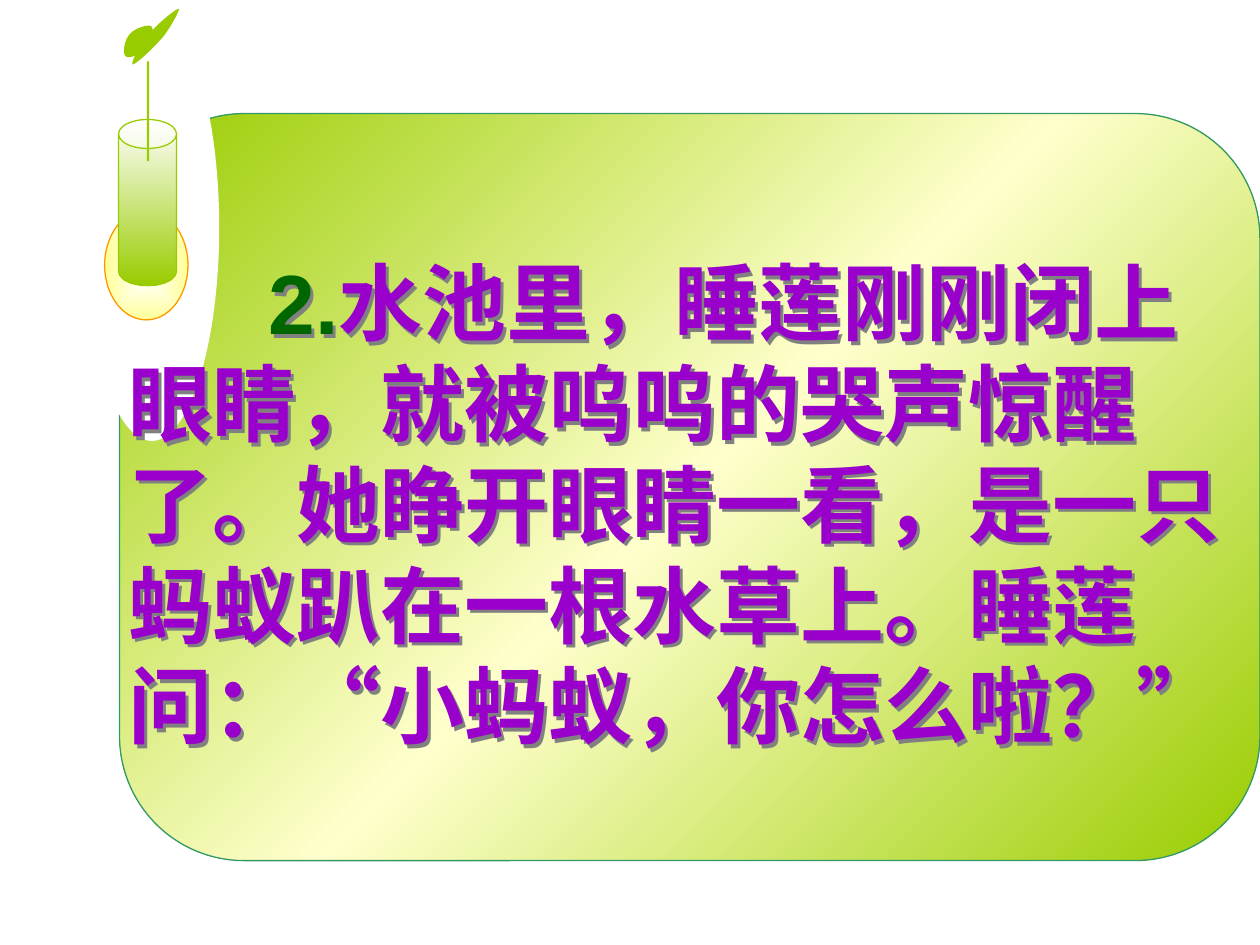
from dataclasses import dataclass

from pptx import Presentation
from pptx.dml.color import RGBColor
from pptx.enum.lang import MSO_LANGUAGE_ID
from pptx.enum.shapes import MSO_SHAPE
from pptx.enum.text import MSO_ANCHOR
from pptx.oxml import parse_xml
from pptx.oxml.ns import nsdecls, qn
from pptx.util import Cm, Pt


@dataclass(frozen=True)
class Theme:
    leaf: str = "99CC00"
    cream: str = "FFFFCC"
    yolk: str = "FFFF99"
    white: str = "FFFFFF"
    panel_edge: str = "339966"
    bulb_edge: str = "FF9900"
    number: str = "006600"
    story: str = "9900CC"
    shadow: str = "808080"
    font: str = "Arial"
    story_size: int = 48
    edge_width: float = 0.75


THEME = Theme()
LINEAR = '<a:lin ang="{}" scaled="0"/>'
CENTRED = ('<a:path path="rect"><a:fillToRect l="50000" t="50000" '
           'r="50000" b="50000"/></a:path>')

# Leaf outlines in cm: a start point, then cubic curves (two controls, one end)
SMALL_LEAF = ((3.0, 0.99), [
    ((3.07, 0.89), (3.12, 0.58), (3.05, 0.53)),
    ((3.0, 0.48), (2.69, 0.58), (2.62, 0.69)),
    ((2.51, 0.79), (2.46, 1.09), (2.54, 1.14)),
    ((2.59, 1.19), (2.9, 1.09), (3.0, 0.99))])
LONG_LEAF = ((2.67, 1.3), [
    ((2.72, 1.32), (3.07, 0.99), (3.23, 0.81)),
    ((3.4, 0.64), (3.63, 0.2), (3.61, 0.18)),
    ((3.58, 0.15), (3.2, 0.46), (3.05, 0.64)),
    ((2.87, 0.81), (2.64, 1.24), (2.67, 1.3))])


def paint(shape, colors, direction=None, edge=None):
    """Fill with one colour, or with evenly spaced gradient colours."""
    shape.shadow.inherit = False
    if direction is None:
        shape.fill.solid()
        shape.fill.fore_color.rgb = RGBColor.from_string(colors[0])
    else:
        step = 100000 // (len(colors) - 1)
        stops = "".join(
            f'<a:gs pos="{i * step}"><a:srgbClr val="{color}"/></a:gs>'
            for i, color in enumerate(colors))
        shape.fill.background()
        properties = shape._element.spPr
        properties.replace(properties.find(qn("a:noFill")), parse_xml(
            f'<a:gradFill {nsdecls("a")} rotWithShape="1">'
            f'<a:gsLst>{stops}</a:gsLst>{direction}</a:gradFill>'))
    if edge:
        shape.line.color.rgb = RGBColor.from_string(edge)
        shape.line.width = Pt(THEME.edge_width)
    else:
        shape.line.fill.background()


def add_preset(group, preset, box, colors, direction=None, edge=None, adjust=None):
    shape = group.shapes.add_shape(preset, *map(Cm, box))
    if adjust is not None:
        shape.adjustments[0] = adjust
    paint(shape, colors, direction, edge)


def curve_points(start, curves, steps=10):
    for first, second, end in curves:
        for i in range(1, steps + 1):
            t = i / steps
            u = 1 - t
            yield tuple(
                Cm(u**3 * a + 3 * u**2 * t * b + 3 * u * t**2 * c + t**3 * d)
                for a, b, c, d in zip(start, first, second, end))
        start = end


def add_leaf(group, start, curves):
    builder = group.shapes.build_freeform(*map(Cm, start))
    builder.add_line_segments(curve_points(start, curves), close=True)
    paint(builder.convert_to_shape(), [THEME.leaf])


def add_story_run(paragraph, text, color):
    run = paragraph.add_run()
    run.text = text
    run.font.color.rgb = RGBColor.from_string(color)
    formats = {"name": THEME.font, "size": Pt(THEME.story_size), "bold": True,
               "language_id": MSO_LANGUAGE_ID.SIMPLIFIED_CHINESE}
    for name, value in formats.items():
        setattr(run.font, name, value)


def add_story(slide, box, number, text):
    story = slide.shapes.add_textbox(*map(Cm, box))
    # An unfilled box casts its shadow from the letters
    story.fill.background()
    story.line.fill.background()
    story._element.spPr.append(parse_xml(
        f'<a:effectLst {nsdecls("a")}><a:outerShdw dist="35921" dir="2700000" '
        f'algn="ctr" rotWithShape="0"><a:srgbClr val="{THEME.shadow}"/>'
        '</a:outerShdw></a:effectLst>'))
    frame = story.text_frame
    formats = {"word_wrap": True, "vertical_anchor": MSO_ANCHOR.MIDDLE}
    for name, value in formats.items():
        setattr(frame, name, value)
    paragraph = frame.paragraphs[0]
    properties = paragraph._p.get_or_add_pPr()
    for name, value in {"indent": Cm(2.82), "hangingPunct": 0}.items():
        properties.set(name, str(value))
    add_story_run(paragraph, number, THEME.number)
    add_story_run(paragraph, text, THEME.story)


def main():
    deck = Presentation()
    deck.slide_width, deck.slide_height = Cm(25.4), Cm(19.05)
    slide = deck.slides.add_slide(deck.slide_layouts[6])
    scene = slide.shapes.add_group_shape()

    # Panel with a white bite out of its corner
    add_preset(scene, MSO_SHAPE.ROUNDED_RECTANGLE, (2.41, 2.29, 22.99, 15.06),
               [THEME.leaf, THEME.cream, THEME.leaf], LINEAR.format(2700000),
               THEME.panel_edge, 0.167)
    add_preset(scene, MSO_SHAPE.OVAL, (1.7, 0.28, 2.72, 8.61), [THEME.white])

    # Vase and bulb
    add_preset(scene, MSO_SHAPE.OVAL, (2.11, 4.24, 1.68, 2.21),
               [THEME.white, THEME.yolk], CENTRED, THEME.bulb_edge)
    add_preset(scene, MSO_SHAPE.CAN, (2.39, 2.41, 1.17, 3.35),
               [THEME.white, THEME.leaf], LINEAR.format(5400000),
               THEME.leaf, 0.5)

    # Sprout
    for leaf in (SMALL_LEAF, LONG_LEAF):
        add_leaf(scene, *leaf)
    add_preset(scene, MSO_SHAPE.RECTANGLE, (2.96, 1.24, 0.05, 2.01), [THEME.leaf])

    # Story text
    add_story(slide, (2.34, 4.93, 23.06, 10.41), "2.",
              "水池里，睡莲刚刚闭上眼睛，就被呜呜的哭声惊醒了。她睁开眼睛一看，"
              "是一只蚂蚁趴在一根水草上。睡莲问：“小蚂蚁，你怎么啦？”")
    deck.save("out.pptx")


if __name__ == "__main__":
    main()
